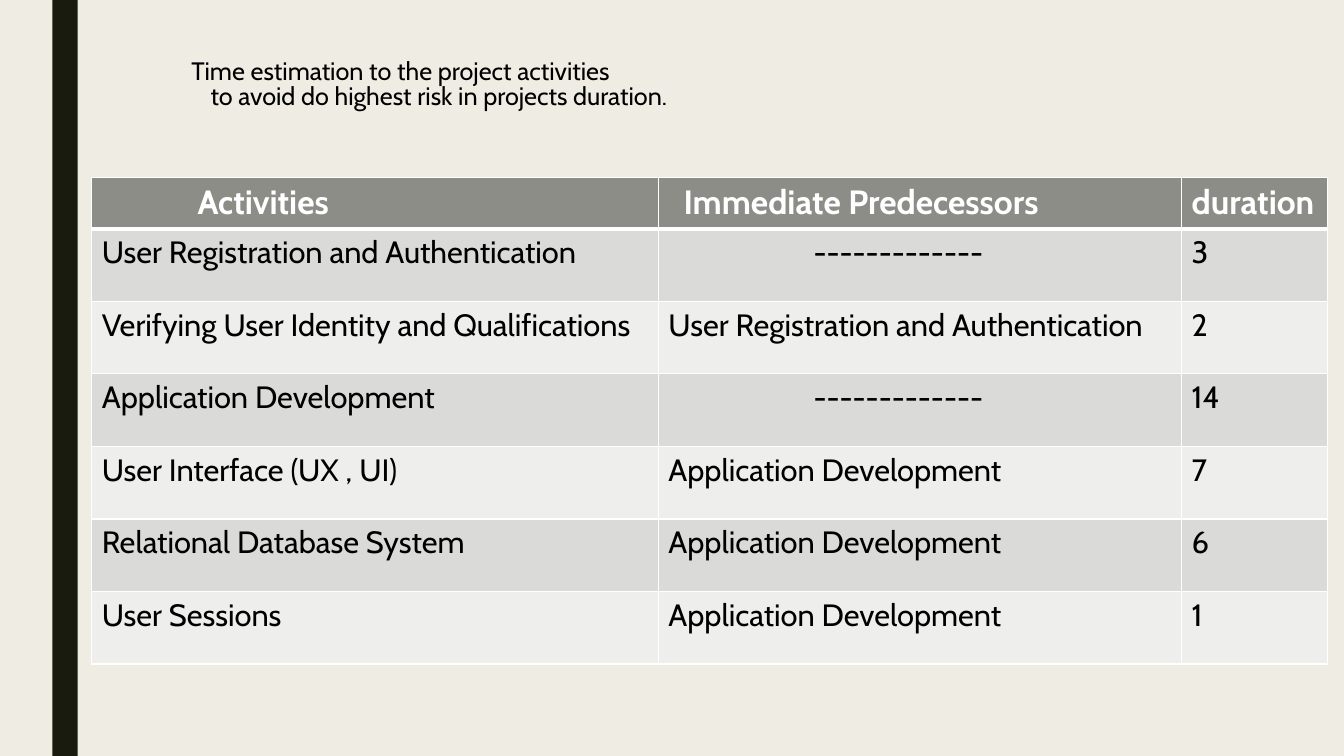
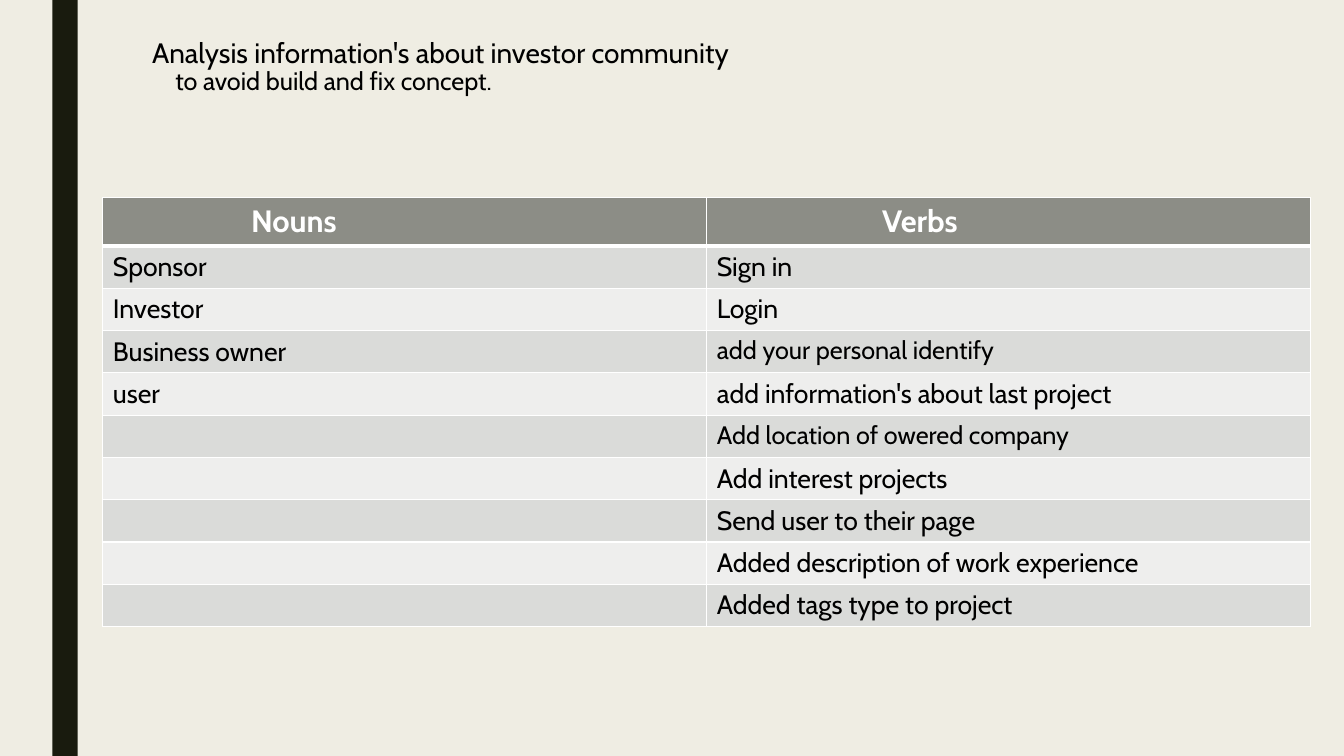
from dataclasses import dataclass

from lxml import etree
from pptx import Presentation
from pptx import util as u
from pptx.dml.color import RGBColor
from pptx.enum import shapes, text
from pptx.oxml import ns

CREAM = RGBColor(0xEF, 0xED, 0xE3)
DARK = RGBColor(0x19, 0x1B, 0x0E)
GRAY = RGBColor(0x8C, 0x8D, 0x86)
BANDS = (RGBColor(0xEE, 0xEE, 0xED), RGBColor(0xDA, 0xDB, 0xD9))
WHITE = RGBColor(0xFF, 0xFF, 0xFF)
BLACK = RGBColor(0, 0, 0)
FONT = "Cabin"


@dataclass
class Line:
    text: str
    left: float
    top: float
    width: float
    height: float = 0.4
    size: int = 18
    wrap: bool = True


@dataclass
class Item:
    text: str
    size: int = 0
    indent: float = 0.1


@dataclass
class Grid:
    left: float
    top: float
    cols: list[float]
    head: float
    row: float
    head_size: int
    size: int
    rows: list[list[Item]]


@dataclass
class Page:
    title: list[Line]
    grid: Grid


DASH = Item("-------------", indent=1.54)
SIGNUP = Item("User Registration and Authentication")
BUILD = Item("Application Development")

PAGES = [
    Page(
        [
            Line("Time estimation to the project activities", 1.8, 0.5, 4.38, wrap=False),
            Line("to avoid do highest risk in projects duration.", 1.99, 0.75, 4.88),
        ],
        Grid(0.91, 1.76, [5.62, 5.19, 1.45], 0.51, 0.72, 24, 22, [
            [Item("Activities", indent=1.05),
             Item("Immediate Predecessors", indent=0.25), Item("duration")],
            [SIGNUP, DASH, Item("3")],
            [Item("Verifying User Identity and Qualifications"), SIGNUP, Item("2")],
            [BUILD, DASH, Item("14")],
            [Item("User Interface (UX , UI)"), BUILD, Item("7")],
            [Item("Relational Database System"), BUILD, Item("6")],
            [Item("User Sessions"), BUILD, Item("1")],
        ]),
    ),
    Page(
        [
            Line("Analysis information's about investor community",
                 1.41, 0.3, 6.67, 0.44, 20),
            Line("to avoid build and fix concept.", 1.64, 0.6, 3.49),
        ],
        Grid(1.02, 1.96, [5.99, 5.99], 0.48, 0.42, 22, 19, [
            [Item("Nouns", indent=1.47), Item("Verbs", indent=1.74)],
            [Item("Sponsor"), Item("Sign in")],
            [Item("Investor"), Item("Login")],
            [Item("Business owner"), Item("add your personal identify", 18)],
            [Item("user"), Item("add information's about last project")],
            [Item(""), Item("Add location of owered company", 18)],
            [Item(""), Item("Add interest projects")],
            [Item(""), Item("Send user to their page")],
            [Item(""), Item("Added description of work experience")],
            [Item(""), Item("Added tags type to project")],
        ]),
    ),
]


def style(frame, size: int, color: RGBColor, bold: bool = False) -> None:
    for run in frame.paragraphs[0].runs:
        run.font.name = FONT
        run.font.size = u.Pt(size)
        run.font.bold = bold
        run.font.color.rgb = color


def add_band(slide) -> None:
    band = slide.shapes.add_shape(
        shapes.MSO_SHAPE.RECTANGLE,
        u.Inches(0.52), 0, u.Inches(0.25), u.Inches(7.5))
    band.shadow.inherit = False
    band.fill.solid()
    band.fill.fore_color.rgb = DARK
    band.line.fill.background()


def add_line(slide, line: Line) -> None:
    box = slide.shapes.add_textbox(
        u.Inches(line.left), u.Inches(line.top),
        u.Inches(line.width), u.Inches(line.height))
    frame = box.text_frame
    frame.word_wrap = line.wrap
    frame.auto_size = text.MSO_AUTO_SIZE.SHAPE_TO_FIT_TEXT
    frame.text = line.text
    style(frame, line.size, BLACK)


def add_edges(cell, top: int, base: int) -> None:
    props = cell._tc.get_or_add_tcPr()
    edges = {"lnL": 1, "lnR": 1, "lnT": top, "lnB": base}
    for i, (tag, width) in enumerate(edges.items()):
        edge = etree.Element(ns.qn(f"a:{tag}"), w=str(u.Pt(width)))
        fill = etree.SubElement(edge, ns.qn("a:solidFill"))
        etree.SubElement(fill, ns.qn("a:srgbClr"), val=str(WHITE))
        props.insert(i, edge)


def add_grid(slide, grid: Grid) -> None:
    count = len(grid.rows)
    table = slide.shapes.add_table(
        count, len(grid.cols), u.Inches(grid.left), u.Inches(grid.top),
        u.Inches(sum(grid.cols)),
        u.Inches(grid.head + grid.row * (count - 1))).table
    for col, width in zip(table.columns, grid.cols):
        col.width = u.Inches(width)
    for r, items in enumerate(grid.rows):
        head = r == 0
        table.rows[r].height = u.Inches(grid.head if head else grid.row)
        for c, item in enumerate(items):
            cell = table.cell(r, c)
            cell.margin_left = u.Inches(item.indent)
            cell.fill.solid()
            cell.fill.fore_color.rgb = GRAY if head else BANDS[r % 2]
            add_edges(cell, 3 if r == 1 else 1, 3 if head else 1)
            if item.text:
                cell.text_frame.text = item.text
                size = item.size or (grid.head_size if head else grid.size)
                style(cell.text_frame, size, WHITE if head else BLACK, head)


def main() -> None:
    deck = Presentation()
    deck.slide_width = u.Inches(13.33)
    deck.slide_height = u.Inches(7.5)
    back = deck.slide_master.background.fill
    back.solid()
    back.fore_color.rgb = CREAM
    for page in PAGES:
        slide = deck.slides.add_slide(deck.slide_layouts[6])
        add_band(slide)
        for line in page.title:
            add_line(slide, line)
        add_grid(slide, page.grid)
    deck.save("out.pptx")


if __name__ == "__main__":
    main()
